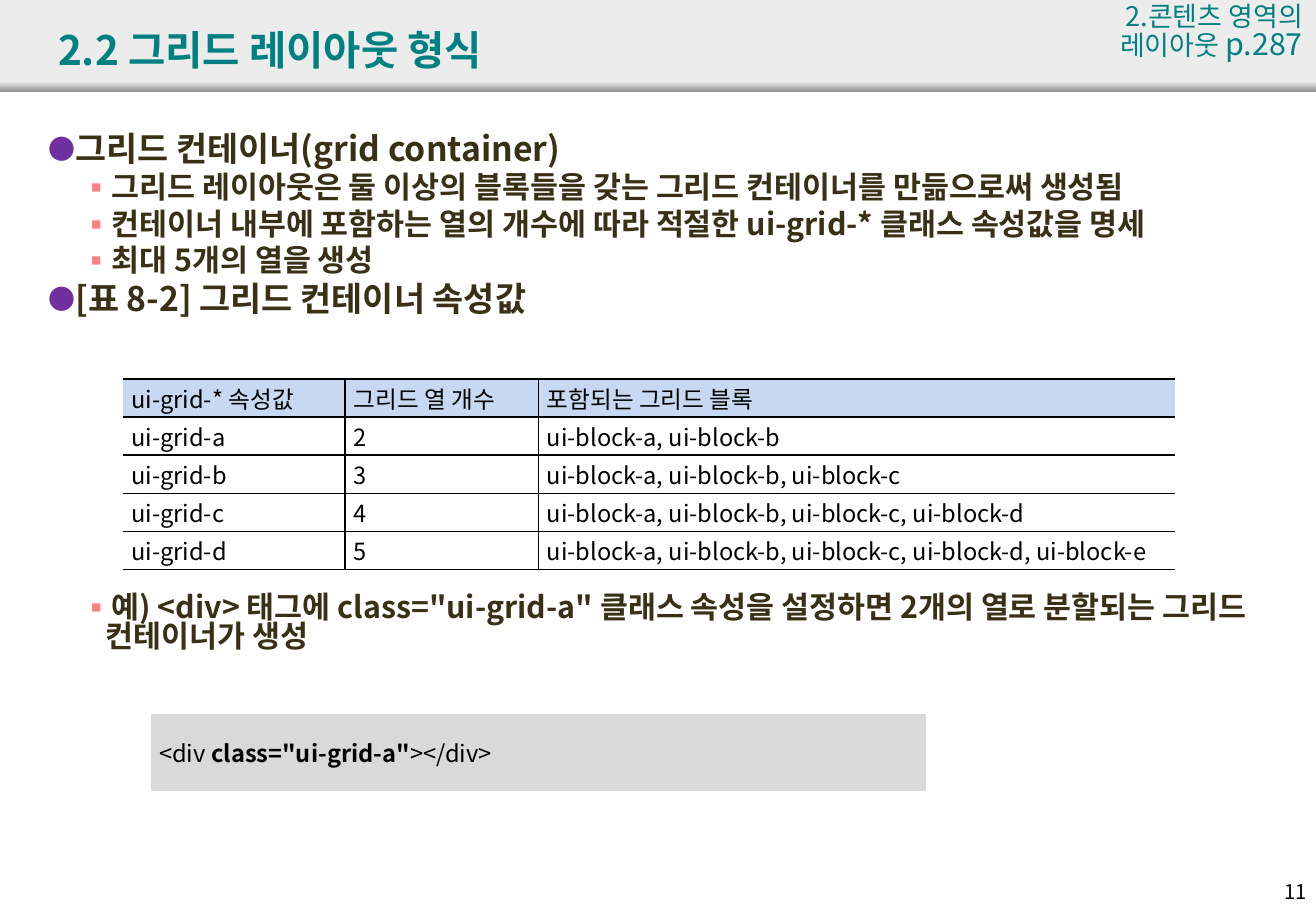
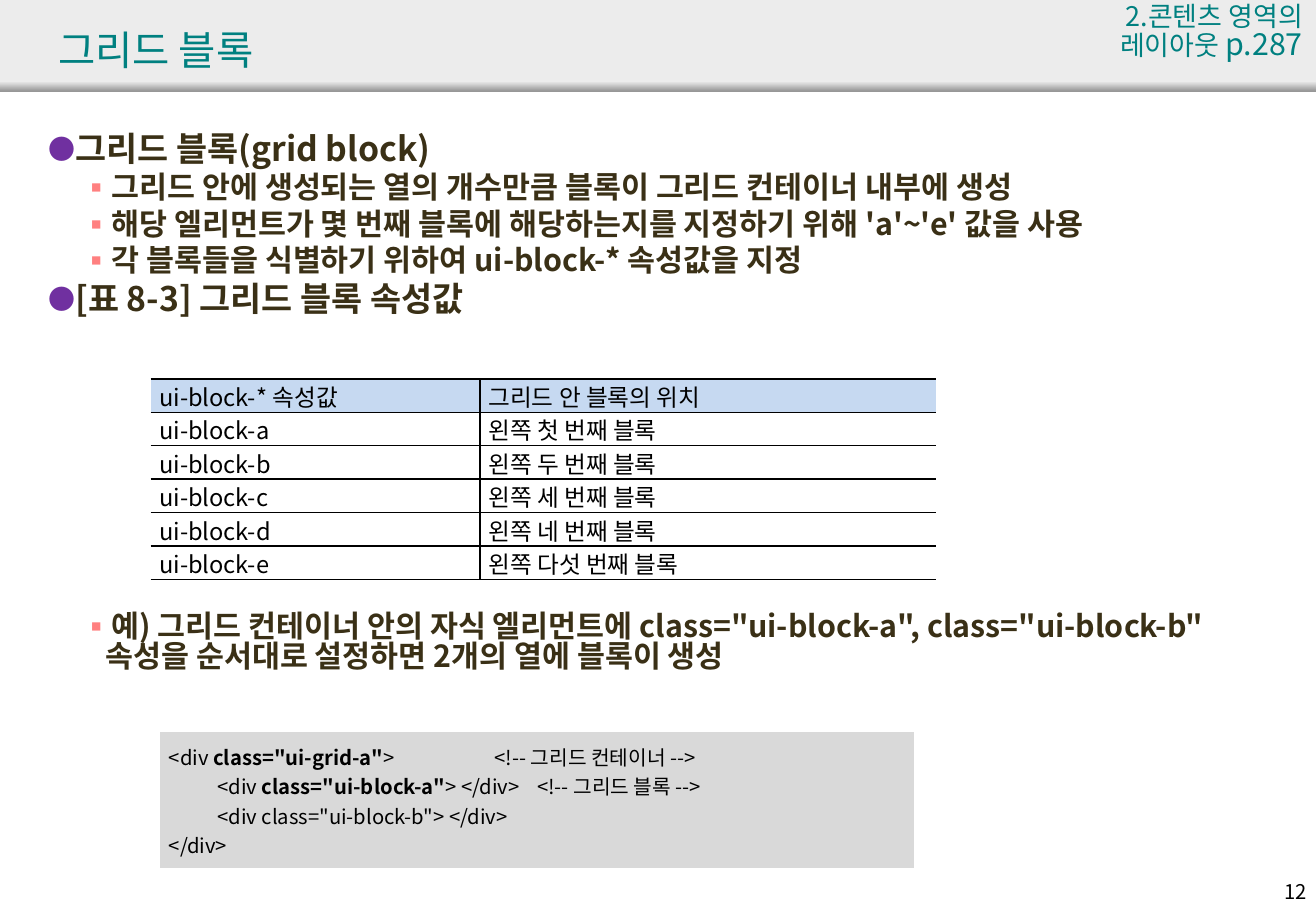
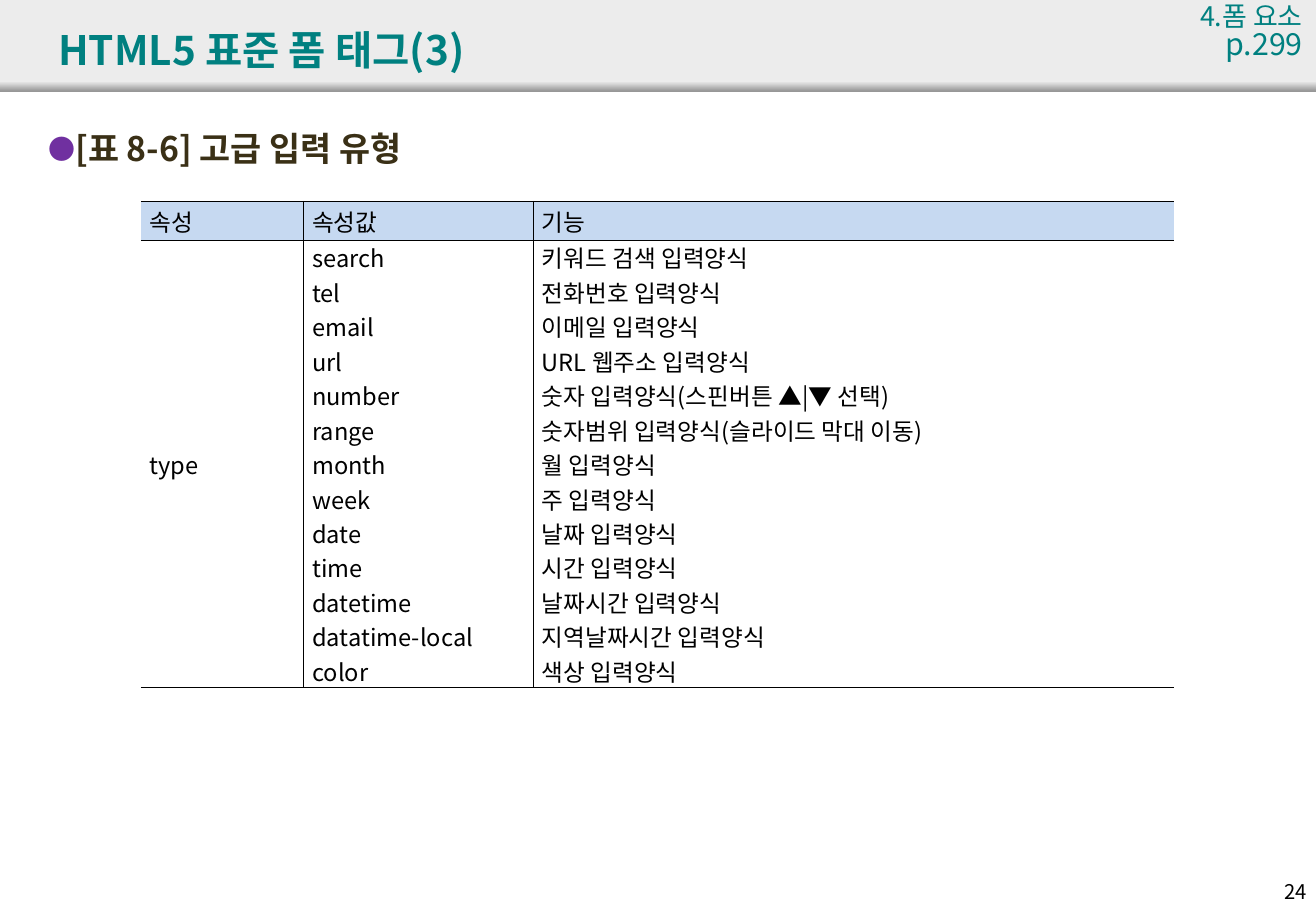
from lxml import etree
from pptx import Presentation
from pptx.dml.color import RGBColor
from pptx.enum.shapes import MSO_SHAPE
from pptx.enum.text import MSO_ANCHOR, PP_ALIGN
from pptx.oxml.ns import qn
from pptx.util import Inches, Pt

RECTANGLE = MSO_SHAPE.RECTANGLE
TOP, MIDDLE = MSO_ANCHOR.TOP, MSO_ANCHOR.MIDDLE
LEFT, RIGHT, JUSTIFY = PP_ALIGN.LEFT, PP_ALIGN.RIGHT, PP_ALIGN.JUSTIFY

FONT = "Noto Sans CJK KR"
BLACK = RGBColor(0x00, 0x00, 0x00)
TEAL = RGBColor(0x00, 0x80, 0x80)
BROWN = RGBColor(0x3A, 0x30, 0x16)
PURPLE = RGBColor(0x70, 0x30, 0xA0)
CORAL = RGBColor(0xFF, 0x80, 0x80)
BAND_GRAY = RGBColor(0xEC, 0xEC, 0xEC)
EDGE_GRAY = RGBColor(0x97, 0x97, 0x97)
CODE_GRAY = RGBColor(0xD9, 0xD9, 0xD9)
HEADER_BLUE = RGBColor(0xC6, 0xD9, 0xF1)

WIDTH, HEIGHT = 10.83, 7.5
BODY_SPACING = 0.8
# Per outline level: size, indent, bullet, bullet colour, bullet size in percent
LEVELS = [(20, 0.2, "●", PURPLE, 80), (18, 0.47, "▪", CORAL, 100)]
HANGING = 0.2


def add_child(parent, tag, **attributes):
    return etree.SubElement(parent, qn(tag), attributes)


class Lecture:
    """The deck style and the slide being filled."""

    def __init__(self):
        self.deck = Presentation()
        self.deck.slide_width = Inches(WIDTH)
        self.deck.slide_height = Inches(HEIGHT)
        self.page = None

    def new_page(self, title, number, chapter, reference, note_width, bold=True):
        self.page = self.deck.slides.add_slide(self.deck.slide_layouts[6])
        band = self.rectangle(0, 0.75)
        band.fill.solid()
        band.fill.fore_color.rgb = BAND_GRAY
        edge = self.rectangle(0.67, 0.08)
        edge.fill.gradient()
        edge.fill.gradient_angle = 270
        for stop, color in zip(edge.fill.gradient_stops, (BAND_GRAY, EDGE_GRAY)):
            stop.color.rgb = color
        self.label(0.38, 0.13, 9.92, 0.63, [(title, 24)], TEAL,
                   bold=bold, anchor=MIDDLE)
        self.label(10.3, 7.23, 0.55, 0.3, [(str(number), 12)], BLACK, RIGHT)
        self.label(10.82 - note_width, 0, note_width, 0.4,
                   [(chapter + " ", 16), (reference, 18)], TEAL, RIGHT)

    def rectangle(self, top, height):
        """Add a full-width bar without outline."""
        bar = self.page.shapes.add_shape(
            RECTANGLE, 0, Inches(top), Inches(WIDTH), Inches(height))
        bar.shadow.inherit = False
        bar.line.fill.background()
        return bar

    def text_frame(self, left, top, width, height, anchor=TOP):
        box = self.page.shapes.add_textbox(
            Inches(left), Inches(top), Inches(width), Inches(height))
        frame = box.text_frame
        frame.word_wrap = True
        frame.vertical_anchor = anchor
        return frame

    def span(self, para, text, size, color=BLACK, bold=False):
        run = para.add_run()
        run.text = text
        run.font.name = FONT
        run.font.size = Pt(size)
        run.font.bold = bold
        run.font.color.rgb = color
        add_child(run.font._element, "a:ea", typeface=FONT)

    def label(self, left, top, width, height, spans, color,
              align=LEFT, bold=False, anchor=TOP):
        para = self.text_frame(left, top, width, height, anchor).paragraphs[0]
        para.alignment = align
        para.line_spacing = BODY_SPACING
        for text, size in spans:
            self.span(para, text, size, color, bold)

    def outline(self, top, height, items):
        """Add bulleted text; items are (level, text) pairs."""
        frame = self.text_frame(0.3, top, 10.32, height)
        for index, (level, text) in enumerate(items):
            para = frame.add_paragraph() if index else frame.paragraphs[0]
            size, indent, bullet, color, percent = LEVELS[level]
            para.level = level
            properties = para._p.get_or_add_pPr()
            properties.set("marL", str(Inches(indent)))
            properties.set("indent", str(-Inches(HANGING)))
            add_child(add_child(properties, "a:buClr"), "a:srgbClr", val=str(color))
            add_child(properties, "a:buSzPct", val=str(percent * 1000))
            add_child(properties, "a:buFont", typeface=FONT)
            add_child(properties, "a:buChar", char=bullet)
            para.line_spacing = BODY_SPACING
            if index:
                para.space_before = Pt(round(0.24 * size, 1))
            self.span(para, text, size, BROWN, bold=True)

    def grid(self, left, top, widths, heights):
        """Add an empty table without banding."""
        table = self.page.shapes.add_table(
            len(heights), len(widths), Inches(left), Inches(top),
            Inches(sum(widths)), Inches(sum(heights))).table
        table.first_row = table.horz_banding = False
        for column, width in zip(table.columns, widths):
            column.width = Inches(width)
        for row, height in zip(table.rows, heights):
            row.height = Inches(height)
        return table

    def style_cell(self, cell, fill, sides, anchor, padding):
        cell.vertical_anchor = anchor
        cell.margin_left = cell.margin_right = Inches(0.07)
        cell.margin_top = cell.margin_bottom = Inches(padding)
        if fill is None:
            cell.fill.background()
        else:
            cell.fill.solid()
            cell.fill.fore_color.rgb = fill
        properties = cell._tc.get_or_add_tcPr()
        for position, side in enumerate("LRTB"):
            line = etree.Element(qn("a:ln" + side), w=str(Pt(1)))
            if side in sides:
                paint = add_child(line, "a:solidFill")
                add_child(paint, "a:srgbClr", val=str(BLACK))
            else:
                add_child(line, "a:noFill")
            properties.insert(position, line)

    def fill_cell(self, cell, lines, size):
        """Write lines of (tab stops, spans), each span being (text, bold)."""
        for index, (stops, spans) in enumerate(lines):
            frame = cell.text_frame
            para = frame.add_paragraph() if index else frame.paragraphs[0]
            if stops:
                tabs = add_child(para._p.get_or_add_pPr(), "a:tabLst")
                for stop in stops:
                    add_child(tabs, "a:tab", pos=str(Inches(stop)), algn="l")
            para.alignment = JUSTIFY
            for text, bold in spans:
                self.span(para, text, size, bold=bold)

    def data_table(self, left, top, widths, heights, rows, anchor=MIDDLE):
        """Add a ruled table, open at its left and right; \\n parts lines in a cell."""
        table = self.grid(left, top, widths, heights)
        last = len(widths) - 1
        for row_index, row in enumerate(rows):
            for column_index, text in enumerate(row):
                cell = table.cell(row_index, column_index)
                sides = "TB" + "L" * (column_index > 0) + "R" * (column_index < last)
                fill = None if row_index else HEADER_BLUE
                self.style_cell(cell, fill, sides, anchor, 0)
                lines = [((), [(line, False)]) for line in text.split("\n")]
                self.fill_cell(cell, lines, 14)

    def code_panel(self, left, top, width, height, lines, size):
        cell = self.grid(left, top, [width], [height]).cell(0, 0)
        self.style_cell(cell, CODE_GRAY, "", MIDDLE, 0.08)
        self.fill_cell(cell, lines, size)


def grid_container_page(lecture):
    lecture.new_page("2.2 그리드 레이아웃 형식", 11,
                     "2.콘텐츠 영역의 레이아웃", "p.287", 2.29)
    lecture.outline(1.07, 1.95, [
        (0, "그리드 컨테이너(grid container)"),
        (1, "그리드 레이아웃은 둘 이상의 블록들을 갖는 그리드 컨테이너를 만듦으로써 생성됨"),
        (1, "컨테이너 내부에 포함하는 열의 개수에 따라 적절한 ui-grid-* 클래스 속성값을 명세"),
        (1, "최대 5개의 열을 생성"),
        (0, "[표 8-2] 그리드 컨테이너 속성값"),
    ])
    rows = [("ui-grid-* 속성값", "그리드 열 개수", "포함되는 그리드 블록")]
    for count in range(2, 6):
        blocks = ", ".join("ui-block-" + letter for letter in "abcde"[:count])
        rows.append(("ui-grid-" + "abcd"[count - 2], str(count), blocks))
    lecture.data_table(1.01, 3.12, [1.83, 1.59, 5.24], [1.57 / 5] * 5, rows)
    lecture.outline(4.85, 0.75, [
        (1, '예) <div> 태그에 class="ui-grid-a" 클래스 속성을 설정하면 '
            '2개의 열로 분할되는 그리드 컨테이너가 생성'),
    ])
    lecture.code_panel(1.24, 5.88, 6.38, 0.63, [
        ((), [("<div ", False), ('class="ui-grid-a"', True), ("></div>", False)]),
    ], 14)


def grid_block_page(lecture):
    lecture.new_page("그리드 블록", 12,
                     "2.콘텐츠 영역의 레이아웃", "p.287", 2.29, bold=False)
    lecture.outline(1.07, 1.95, [
        (0, "그리드 블록(grid block)"),
        (1, "그리드 안에 생성되는 열의 개수만큼 블록이 그리드 컨테이너 내부에 생성"),
        (1, "해당 엘리먼트가 몇 번째 블록에 해당하는지를 지정하기 위해 'a'~'e' 값을 사용"),
        (1, "각 블록들을 식별하기 위하여 ui-block-* 속성값을 지정"),
        (0, "[표 8-3] 그리드 블록 속성값"),
    ])
    rows = [("ui-block-* 속성값", "그리드 안 블록의 위치")]
    for letter, ordinal in zip("abcde", ("첫", "두", "세", "네", "다섯")):
        rows.append(("ui-block-" + letter, f"왼쪽 {ordinal} 번째 블록"))
    lecture.data_table(1.24, 3.12, [2.71, 3.75], [1.65 / 6] * 6, rows, TOP)
    lecture.outline(5.01, 0.75, [
        (1, '예) 그리드 컨테이너 안의 자식 엘리먼트에 class="ui-block-a", '
            'class="ui-block-b" 속성을 순서대로 설정하면 2개의 열에 블록이 생성'),
    ])
    lecture.code_panel(1.32, 6.03, 6.2, 1.12, [
        ((2.68,), [("<div ", False), ('class="ui-grid-a"', True),
                   (">\t<!-- 그리드 컨테이너 -->", False)]),
        ((0.4, 3.03), [("\t<div ", False), ('class="ui-block-a"', True),
                       ("> </div>\t<!-- 그리드 블록 -->", False)]),
        ((0.4,), [('\t<div class="ui-block-b"> </div>', False)]),
        ((), [("</div>", False)]),
    ], 12)


def form_tag_page(lecture):
    lecture.new_page("HTML5 표준 폼 태그(3)", 24, "4.폼 요소", "p.299", 1.21)
    lecture.outline(1.07, 0.45, [(0, "[표 8-6] 고급 입력 유형")])
    inputs = [
        ("search", "키워드 검색 입력양식"),
        ("tel", "전화번호 입력양식"),
        ("email", "이메일 입력양식"),
        ("url", "URL 웹주소 입력양식"),
        ("number", "숫자 입력양식(스핀버튼 ▲|▼ 선택)"),
        ("range", "숫자범위 입력양식(슬라이드 막대 이동)"),
        ("month", "월 입력양식"),
        ("week", "주 입력양식"),
        ("date", "날짜 입력양식"),
        ("time", "시간 입력양식"),
        ("datetime", "날짜시간 입력양식"),
        ("datatime-local", "지역날짜시간 입력양식"),
        ("color", "색상 입력양식"),
    ]
    values, uses = ("\n".join(column) for column in zip(*inputs))
    lecture.data_table(1.16, 1.66, [1.34, 1.89, 5.27], [0.32, 3.68],
                       [("속성", "속성값", "기능"), ("type", values, uses)])


def main():
    lecture = Lecture()
    grid_container_page(lecture)
    grid_block_page(lecture)
    form_tag_page(lecture)
    lecture.deck.save("out.pptx")


if __name__ == "__main__":
    main()
